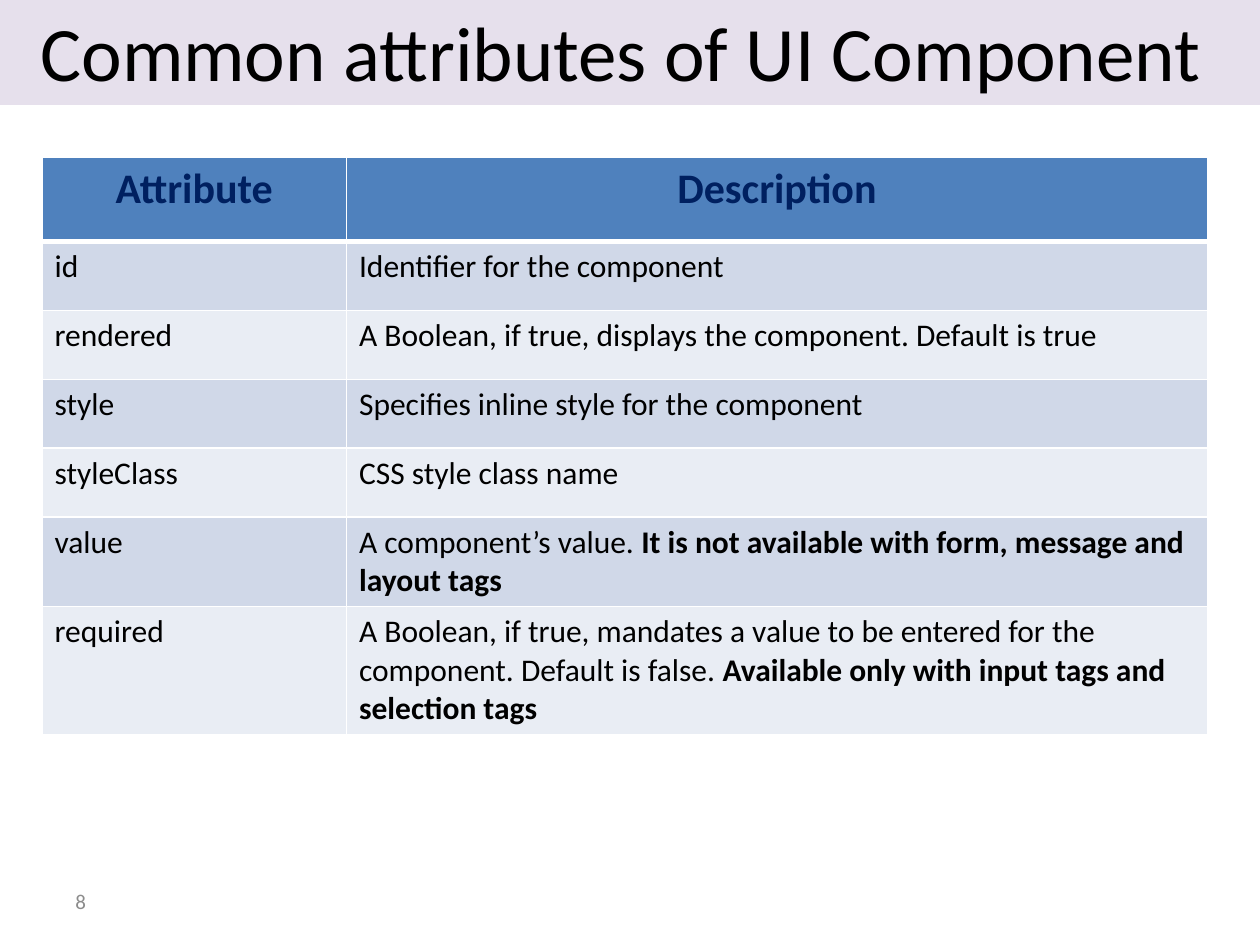
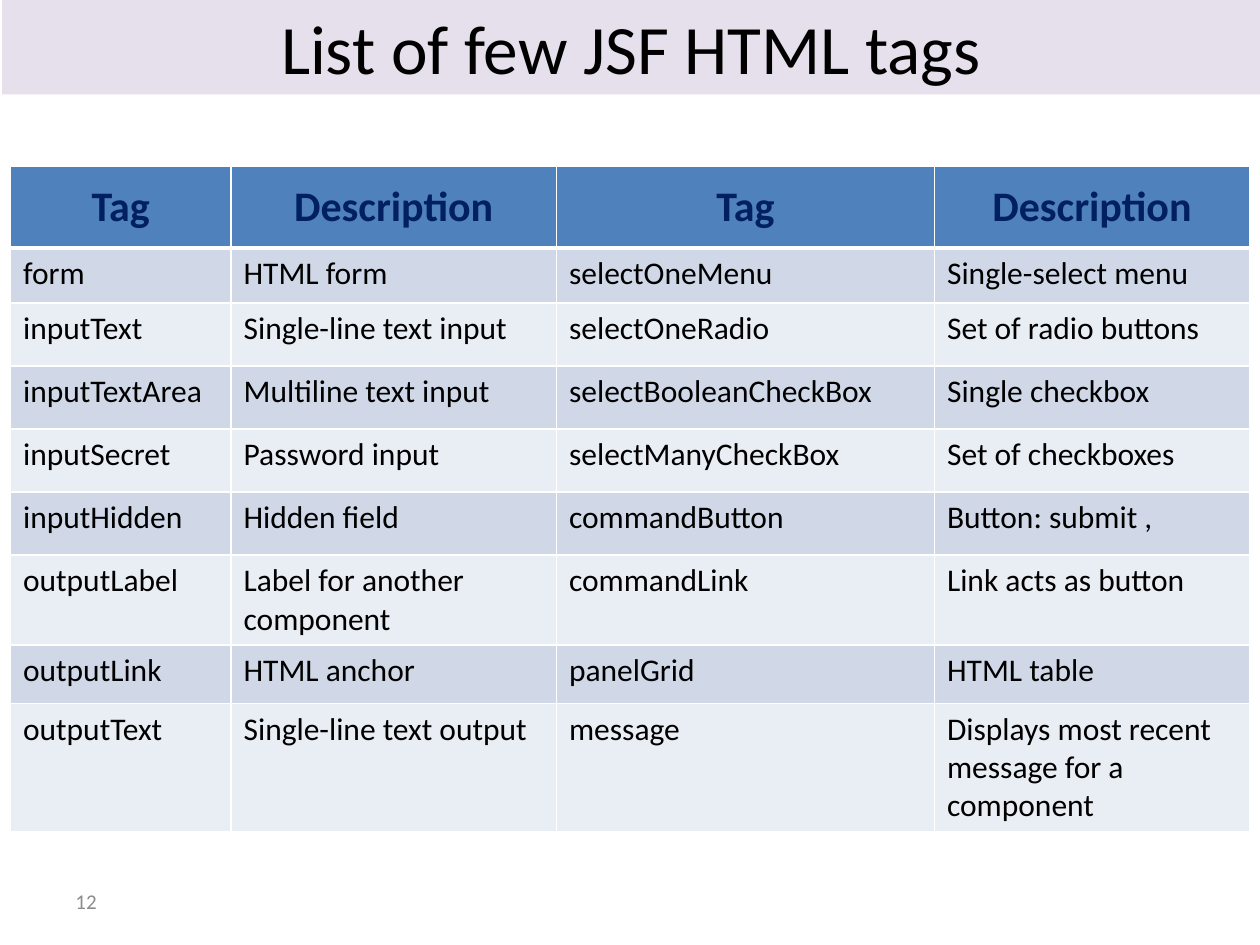
import pptx
import pptx.dml.color
import pptx.enum.text
import pptx.oxml
import pptx.oxml.ns
import pptx.util

Pt = pptx.util.Pt
ALIGN = pptx.enum.text.PP_ALIGN
ANCHOR = pptx.enum.text.MSO_ANCHOR

FONT = "Calibri"
BLACK = "000000"
WHITE = "FFFFFF"
TITLE_BAND = "E6E0EC"
HEADER_FILL = "4F81BD"
HEADER_TEXT = "002060"
ROW_FILLS = ("D0D8E8", "E9EDF4")
NUMBER_GRAY = "8C8C8C"

# A cell is a string, or a pair of plain text and bold text.
ATTRIBUTES = [
    ["Attribute", "Description"],
    ["id", "Identifier for the component"],
    ["rendered", "A Boolean, if true, displays the component. Default is true"],
    ["style", "Specifies inline style for the component"],
    ["styleClass", "CSS style class name"],
    ["value", ("A component’s value. ",
               "It is not available with form, message and layout tags")],
    ["required", ("A Boolean, if true, mandates a value to be entered for the "
                  "component. Default is false. ",
                  "Available only with input tags and selection tags")],
]

TAGS = [
    ["Tag", "Description", "Tag", "Description"],
    ["form", "HTML form", "selectOneMenu", "Single-select menu"],
    ["inputText", "Single-line text input", "selectOneRadio", "Set of radio buttons"],
    ["inputTextArea", "Multiline text input", "selectBooleanCheckBox", "Single checkbox"],
    ["inputSecret", "Password input", "selectManyCheckBox", "Set of checkboxes"],
    ["inputHidden", "Hidden field", "commandButton", "Button: submit ,"],
    ["outputLabel", "Label for another component", "commandLink", "Link acts as button"],
    ["outputLink", "HTML anchor", "panelGrid", "HTML table"],
    ["outputText", "Single-line text output", "message",
     "Displays most recent message for a component"],
]


def rgb(color):
    return pptx.dml.color.RGBColor.from_string(color)


def set_fill(fill, color):
    fill.solid()
    fill.fore_color.rgb = rgb(color)


def format_run(r, size, color, bold=False):
    r.font.name = FONT
    r.font.size = Pt(size)
    r.font.bold = bold
    r.font.color.rgb = rgb(color)


def place(sp, left, top, width, height):
    sp.left, sp.top, sp.width, sp.height = map(Pt, (left, top, width, height))


def add_title(slide, text, size, box):
    sp = slide.shapes.title
    place(sp, *box)
    set_fill(sp.fill, TITLE_BAND)
    tf = sp.text_frame
    tf.text = text
    tf.vertical_anchor = ANCHOR.MIDDLE
    tf.auto_size = pptx.enum.text.MSO_AUTO_SIZE.NONE
    p = tf.paragraphs[0]
    p.alignment = ALIGN.CENTER
    format_run(p.runs[0], size, BLACK)


def add_slide_number(slide, number):
    tf = slide.shapes.add_textbox(Pt(36), Pt(500.5), Pt(168), Pt(28.75)).text_frame
    tf.word_wrap = True
    tf.vertical_anchor = ANCHOR.MIDDLE
    tf.text = str(number)
    format_run(tf.paragraphs[0].runs[0], 12, NUMBER_GRAY)


def set_borders(cell, top, bottom):
    """Draw white cell borders; must run before the cell is filled."""
    tc_pr = cell._tc.get_or_add_tcPr()
    for side, width in (("L", 1), ("R", 1), ("T", top), ("B", bottom)):
        tc_pr.append(pptx.oxml.parse_xml(
            f'<a:ln{side} {pptx.oxml.ns.nsdecls("a")} w="{Pt(width)}">'
            f'<a:solidFill><a:srgbClr val="{WHITE}"/></a:solidFill></a:ln{side}>'))


def fill_cell(cell, content, row, header_anchor):
    is_header = row == 0
    set_borders(cell, top=3 if row == 1 else 1, bottom=3 if is_header else 1)
    set_fill(cell.fill, HEADER_FILL if is_header else ROW_FILLS[(row - 1) % 2])
    cell.vertical_anchor = header_anchor if is_header else ANCHOR.TOP
    p = cell.text_frame.paragraphs[0]
    p.alignment = ALIGN.CENTER if is_header else ALIGN.LEFT
    parts = (content,) if isinstance(content, str) else content
    for i, part in enumerate(parts):
        r = p.add_run()
        r.text = part
        if is_header:
            format_run(r, 24, HEADER_TEXT, bold=True)
        else:
            format_run(r, 18, BLACK, bold=i > 0)


def add_table(slide, rows, left, top, widths, heights, header_anchor):
    table = slide.shapes.add_table(
        len(rows), len(widths), Pt(left), Pt(top),
        Pt(sum(widths)), Pt(sum(heights))).table
    for column, width in zip(table.columns, widths):
        column.width = Pt(width)
    for i, (contents, height) in enumerate(zip(rows, heights)):
        table.rows[i].height = Pt(height)
        for j, content in enumerate(contents):
            fill_cell(table.cell(i, j), content, i, header_anchor)


def main():
    prs = pptx.Presentation()
    prs.slide_width, prs.slide_height = Pt(720), Pt(540)
    title_only = prs.slide_layouts[5]

    slide = prs.slides.add_slide(title_only)
    add_title(slide, "Common attributes of UI Component ", 44, (0, -2.5, 720, 62.5))
    add_table(slide, ATTRIBUTES, 24, 90, [174, 492],
              [48] + [39.4] * 4 + [50.4, 72], ANCHOR.TOP)
    add_slide_number(slide, 8)

    slide = prs.slides.add_slide(title_only)
    add_title(slide, "List of few JSF HTML tags", 39.6, (1.25, 0, 718.75, 54))
    add_table(slide, TAGS, 6, 95, [126, 186, 216, 180],
              [46.8, 31.5] + [36] * 4 + [50.4, 33.7, 72], ANCHOR.MIDDLE)
    add_slide_number(slide, 12)

    prs.save("out.pptx")


if __name__ == "__main__":
    main()
